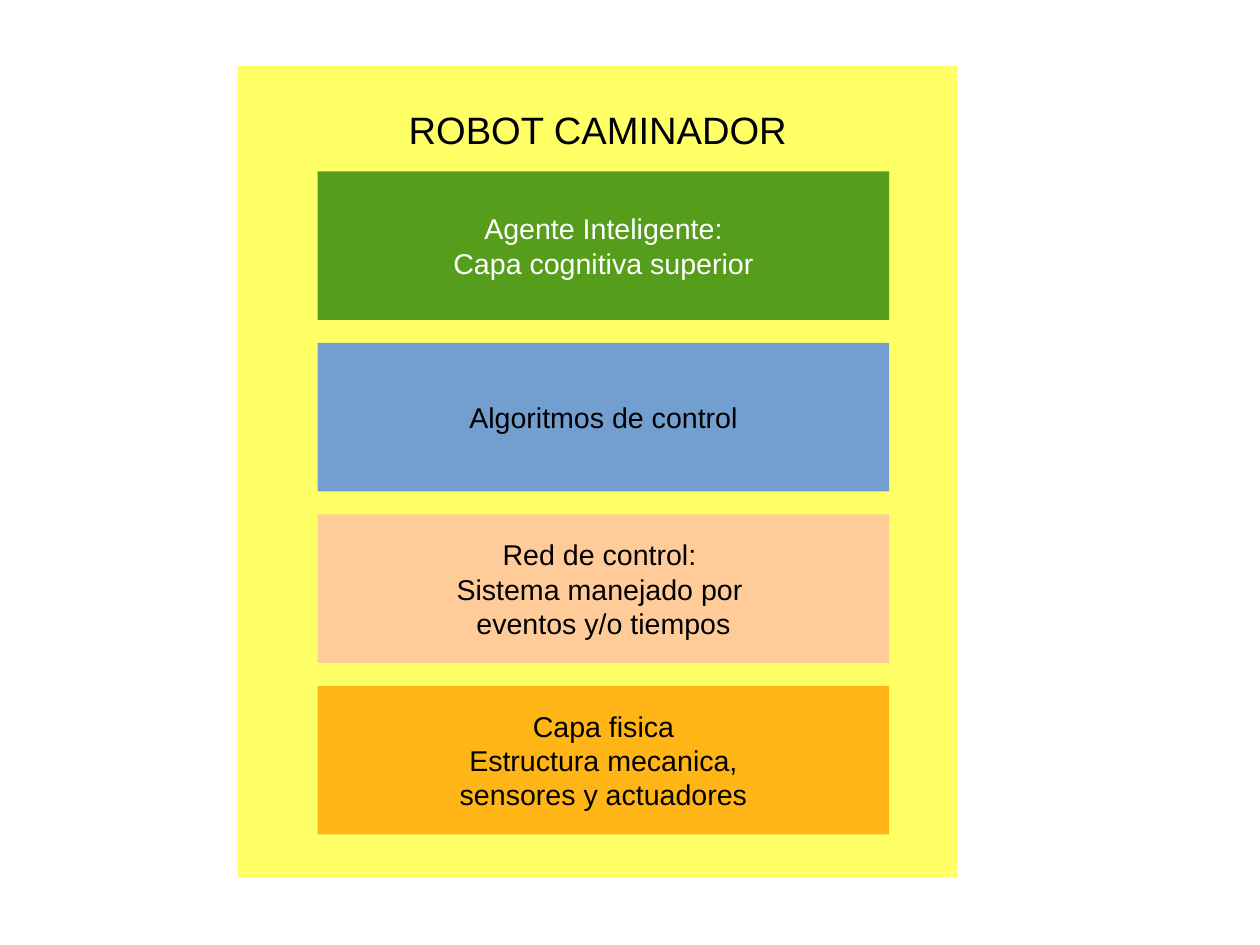
"""Builds the slide with the layers of the walking robot."""
from pptx import Presentation
from pptx.dml.color import RGBColor
from pptx.enum import shapes, text
from pptx.util import Inches, Pt

BLACK = RGBColor(0x00, 0x00, 0x00)
WHITE = RGBColor(0xFF, 0xFF, 0xFF)
YELLOW = RGBColor(0xFF, 0xFF, 0x66)
GREEN = RGBColor(0x57, 0x9D, 0x1C)
BLUE = RGBColor(0x72, 0x9F, 0xCF)
PEACH = RGBColor(0xFF, 0xCC, 0x99)
ORANGE = RGBColor(0xFF, 0xB5, 0x15)

TITLE = "ROBOT CAMINADOR"
LAYERS = [
    ("Agente Inteligente:\nCapa cognitiva superior", GREEN, WHITE),
    ("Algoritmos de control", BLUE, BLACK),
    ("Red de control: \nSistema manejado por \neventos y/o tiempos", PEACH, BLACK),
    ("Capa fisica\nEstructura mecanica,\nsensores y actuadores", ORANGE, BLACK),
]

CM_PER_INCH = 2.54
SLIDE_WIDTH, SLIDE_HEIGHT = 28 / CM_PER_INCH, 21 / CM_PER_INCH
LAYER_LEFT, LAYER_TOP = 2.78, 1.5
LAYER_WIDTH, LAYER_HEIGHT, LAYER_GAP = 5, 1.3, 0.2


def add_block(slide, box, wording, fill, ink, size):
    block = slide.shapes.add_shape(
        shapes.MSO_SHAPE.RECTANGLE, *(Inches(length) for length in box))
    block.shadow.inherit = False
    block.fill.solid()
    block.fill.fore_color.rgb = fill
    block.line.fill.background()
    frame = block.text_frame
    frame.word_wrap = False
    frame.vertical_anchor = text.MSO_ANCHOR.MIDDLE
    frame.text = wording
    for line in frame.paragraphs:
        line.alignment = text.PP_ALIGN.CENTER
        for run in line.runs:
            run.font.name = "Arial"
            run.font.size = Pt(size)
            run.font.color.rgb = ink
    return block


def main():
    deck = Presentation()
    deck.slide_width, deck.slide_height = Inches(SLIDE_WIDTH), Inches(SLIDE_HEIGHT)
    slide = deck.slides.add_slide(deck.slide_layouts[6])

    robot = add_block(slide, (2.08, 0.58, 6.3, 7.1), TITLE, YELLOW, BLACK, 24)
    robot.text_frame.vertical_anchor = text.MSO_ANCHOR.TOP
    robot.text_frame.margin_top = Inches(0.35)

    for level, (wording, fill, ink) in enumerate(LAYERS):
        top = LAYER_TOP + level * (LAYER_HEIGHT + LAYER_GAP)
        add_block(slide, (LAYER_LEFT, top, LAYER_WIDTH, LAYER_HEIGHT),
                  wording, fill, ink, 18)

    deck.save("out.pptx")


if __name__ == "__main__":
    main()
